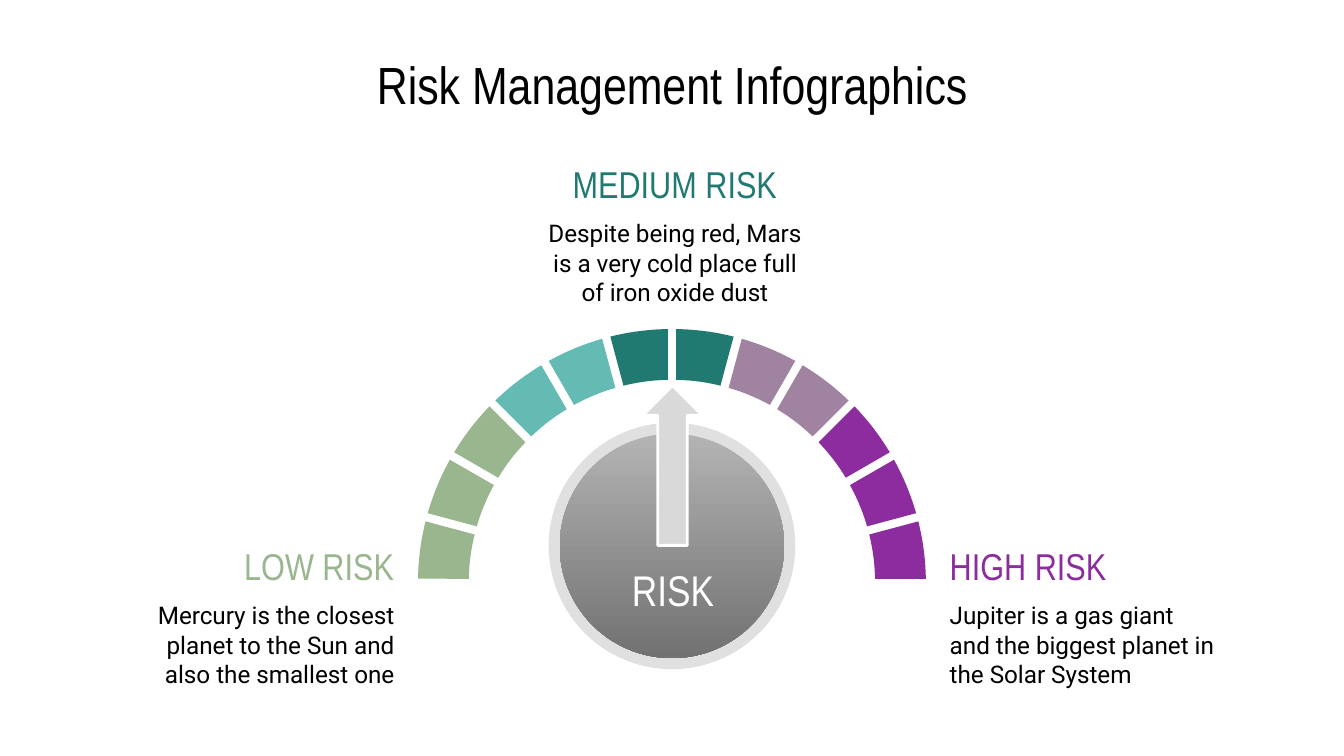
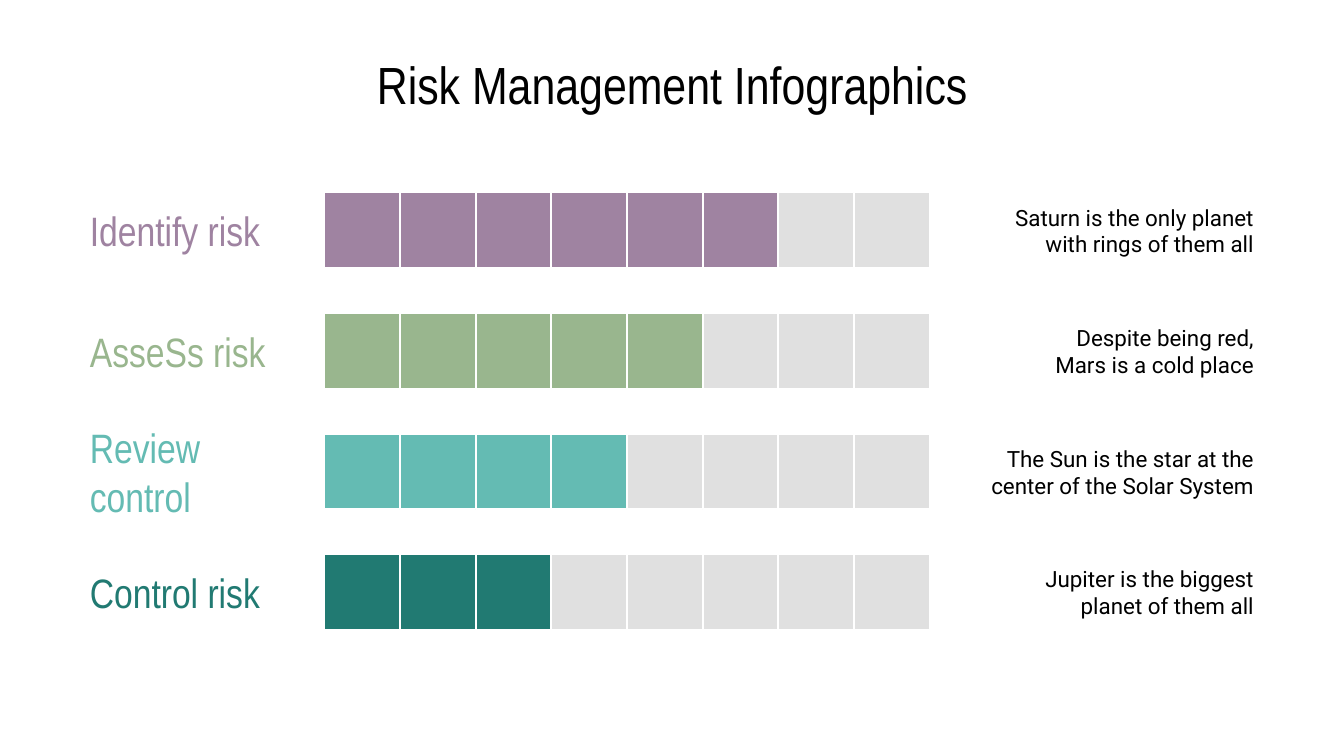
"""Build two risk management infographic slides: a gauge and a set of segmented bars."""
import math
from dataclasses import dataclass

import pptx
import pptx.dml.color
import pptx.enum.dml
import pptx.enum.shapes
import pptx.enum.text
import pptx.util

Cm = pptx.util.Cm
ALIGN = pptx.enum.text.PP_ALIGN
SHAPE = pptx.enum.shapes.MSO_SHAPE


@dataclass(frozen=True)
class Theme:
    """Colours, fonts and type sizes shared by the slides."""

    black: str = "000000"
    white: str = "FFFFFF"
    gray: str = "E0E0E0"
    arrow: str = "D9D9D9"
    dial_top: str = "B3B3B3"
    dial_bottom: str = "727272"
    green: str = "99B68E"
    teal: str = "64BBB3"
    dark_teal: str = "217A72"
    mauve: str = "9F83A1"
    purple: str = "8C2C9E"
    heading_font: str = "Arial Narrow"
    body_font: str = "Roboto"
    title_size: int = 28
    dial_size: int = 23
    row_size: int = 22
    level_size: int = 20
    body_size: int = 13
    row_body_size: int = 12


@dataclass(frozen=True)
class Box:
    """A rectangle measured in centimetres."""

    left: float
    top: float
    width: float
    height: float

    def inside(self, left, top, width, height):
        """Return a box placed relative to this one."""
        return Box(self.left + left, self.top + top, width, height)

    def lengths(self):
        """Return left, top, width and height as lengths."""
        return [Cm(value) for value in (self.left, self.top, self.width, self.height)]


THEME = Theme()
TITLE = "Risk Management Infographics"
TITLE_BOX = Box(1.27, 1.14, 22.86, 0.89)
INSET = 0.25

GAUGE_BOX = Box(7.9, 6.22, 9.6, 4.8)
RING_THICKNESS = 0.96
HALF_GAP = 0.08
ARC_STEPS = 10
SEGMENT_COLORS = (
    [THEME.green] * 3 + [THEME.teal] * 2 + [THEME.dark_teal] * 2
    + [THEME.mauve] * 2 + [THEME.purple] * 3
)
DIAL_BOX = Box(10.37, 7.29, 4.66, 5.36)
LEVELS = [
    (Box(2.11, 10.29, 5.59, 3.02), "LOW RISK", THEME.green, ALIGN.RIGHT,
     "Mercury is the closest planet to the Sun and also the smallest one"),
    (Box(17.7, 10.29, 5.59, 3.02), "HIGH RISK", THEME.purple, ALIGN.LEFT,
     "Jupiter is a gas giant and the biggest planet in the Solar System"),
    (Box(9.96, 3.07, 5.59, 3.02), "MEDIUM RISK", THEME.dark_teal, ALIGN.CENTER,
     "Despite being red, Mars is a very cold place full of iron oxide dust"),
]

ROW_BOX = Box(1.45, 3.64, 22.5, 1.43)
ROW_PITCH = 2.28
CELL_COUNT = 8
ROWS = [
    ("Identify risk", 6, THEME.mauve, "Saturn is the only planet with rings of them all"),
    ("AsseSs risk", 5, THEME.green, "Despite being red,\nMars is a cold place"),
    ("Review control", 4, THEME.teal, "The Sun is the star at the center of the Solar System"),
    ("Control risk", 3, THEME.dark_teal, "Jupiter is the biggest planet of them all"),
]


def rgb(color):
    """Return a colour object for a hex string."""
    return pptx.dml.color.RGBColor.from_string(color)


def set_values(target, values):
    """Set each named attribute on the target."""
    for name, value in values.items():
        setattr(target, name, value)


def write_text(shape, text, font, size, color, alignment, inset_x=INSET, inset_y=INSET):
    """Write one formatted paragraph, anchored in the middle of a shape."""
    frame = shape.text_frame
    set_values(frame, {
        "word_wrap": True,
        "auto_size": pptx.enum.text.MSO_AUTO_SIZE.NONE,
        "vertical_anchor": pptx.enum.text.MSO_ANCHOR.MIDDLE,
        "margin_left": Cm(inset_x),
        "margin_right": Cm(inset_x),
        "margin_top": Cm(inset_y),
        "margin_bottom": Cm(inset_y),
    })
    paragraph = frame.paragraphs[0]
    paragraph.text = text
    paragraph.alignment = alignment
    set_values(paragraph.font, {"name": font, "size": pptx.util.Pt(size)})
    paragraph.font.color.rgb = rgb(color)


def add_text(slide, box, *format_values):
    """Add a text box with one formatted paragraph."""
    write_text(slide.shapes.add_textbox(*box.lengths()), *format_values)


def paint(shape, fill, line=None, width=1.0):
    """Give a shape a flat fill and an optional outline."""
    shape.shadow.inherit = False
    shape.fill.solid()
    shape.fill.fore_color.rgb = rgb(fill)
    if line is None:
        shape.line.fill.background()
    else:
        shape.line.color.rgb = rgb(line)
        shape.line.width = pptx.util.Pt(width)


def add_shape(slide, kind, box, *format_values):
    """Add a painted preset shape and return it."""
    shape = slide.shapes.add_shape(kind, *box.lengths())
    paint(shape, *format_values)
    return shape


def add_titled_slide(presentation):
    """Add a slide with the shared title."""
    slide = presentation.slides.add_slide(presentation.slide_layouts[5])
    title = slide.shapes.title
    set_values(title, dict(zip(("left", "top", "width", "height"), TITLE_BOX.lengths())))
    write_text(title, TITLE, THEME.heading_font, THEME.title_size, THEME.black, ALIGN.CENTER)
    return slide


def arc_points(center_x, center_y, radius, start, end):
    """Return points along an arc, its ends drawn in by half the gap."""
    trim = math.asin(HALF_GAP / radius)
    first, last = start - trim, end + trim
    angles = [first + (last - first) * step / ARC_STEPS for step in range(ARC_STEPS + 1)]
    return [
        (Cm(center_x + radius * math.cos(angle)), Cm(center_y - radius * math.sin(angle)))
        for angle in angles
    ]


def add_gauge(slide, box):
    """Draw the half ring of coloured segments, from left to right."""
    center_x, center_y = box.left + box.width / 2, box.top + box.height
    sweep = math.pi / len(SEGMENT_COLORS)
    for index, color in enumerate(SEGMENT_COLORS):
        start = math.pi - index * sweep
        outer, inner = (
            arc_points(center_x, center_y, radius, start, start - sweep)
            for radius in (box.height, box.height - RING_THICKNESS)
        )
        builder = slide.shapes.build_freeform(*outer[0])
        builder.add_line_segments(outer[1:] + inner[::-1], close=True)
        paint(builder.convert_to_shape(), color)


def add_dial(slide, box):
    """Draw the round dial with its pointer and caption."""
    add_shape(slide, SHAPE.OVAL, box.inside(0, 0.7, 4.66, 4.66), THEME.gray)
    dial = add_shape(slide, SHAPE.OVAL, box.inside(0.21, 0.91, 4.24, 4.24), THEME.gray)
    dial.fill.gradient()
    dial.fill.gradient_angle = 270
    for stop, color in zip(dial.fill.gradient_stops, (THEME.dial_top, THEME.dial_bottom)):
        stop.color.rgb = rgb(color)
    add_shape(slide, SHAPE.UP_ARROW, box.inside(1.78, 0, 1.12, 3.02),
              THEME.arrow, THEME.white, 1.5)
    add_text(slide, box.inside(1.41, 3.51, 1.88, 0.69), "RISK", THEME.heading_font,
             THEME.dial_size, THEME.white, ALIGN.CENTER, 0.1, 0.05)


def add_level(slide, box, name, color, alignment, description):
    """Write a risk level's name above its description."""
    add_text(slide, box.inside(0, 0, box.width, 0.79), name, THEME.heading_font,
             THEME.level_size, color, alignment)
    add_text(slide, box.inside(0, 0.76, box.width, 2.26), description, THEME.body_font,
             THEME.body_size, THEME.black, alignment)


def add_row(slide, box, name, filled, color, description):
    """Draw a step: its name, segmented bar and description."""
    side = box.height
    for index in range(CELL_COUNT):
        add_shape(slide, SHAPE.RECTANGLE, box.inside(4.68 + index * side, 0, side, side),
                  color if index < filled else THEME.gray, THEME.white)
    add_text(slide, box.inside(0, 0.36, 4.62, 0.71), name, THEME.heading_font,
             THEME.row_size, color, ALIGN.LEFT)
    add_text(slide, box.inside(16.86, 0.21, 5.64, 1.02), description, THEME.body_font,
             THEME.row_body_size, THEME.black, ALIGN.RIGHT)


def build_gauge_slide(presentation):
    """Build the slide with the risk gauge."""
    slide = add_titled_slide(presentation)
    add_dial(slide, DIAL_BOX)
    add_gauge(slide, GAUGE_BOX)
    for level in LEVELS:
        add_level(slide, *level)


def build_steps_slide(presentation):
    """Build the slide with the segmented bars."""
    slide = add_titled_slide(presentation)
    for index, row in enumerate(ROWS):
        box = ROW_BOX.inside(0, index * ROW_PITCH, ROW_BOX.width, ROW_BOX.height)
        add_row(slide, box, *row)


def main():
    """Build and save the presentation."""
    presentation = pptx.Presentation()
    set_values(presentation, {"slide_width": Cm(25.4), "slide_height": Cm(14.29)})
    build_gauge_slide(presentation)
    build_steps_slide(presentation)
    presentation.save("out.pptx")


if __name__ == "__main__":
    main()
